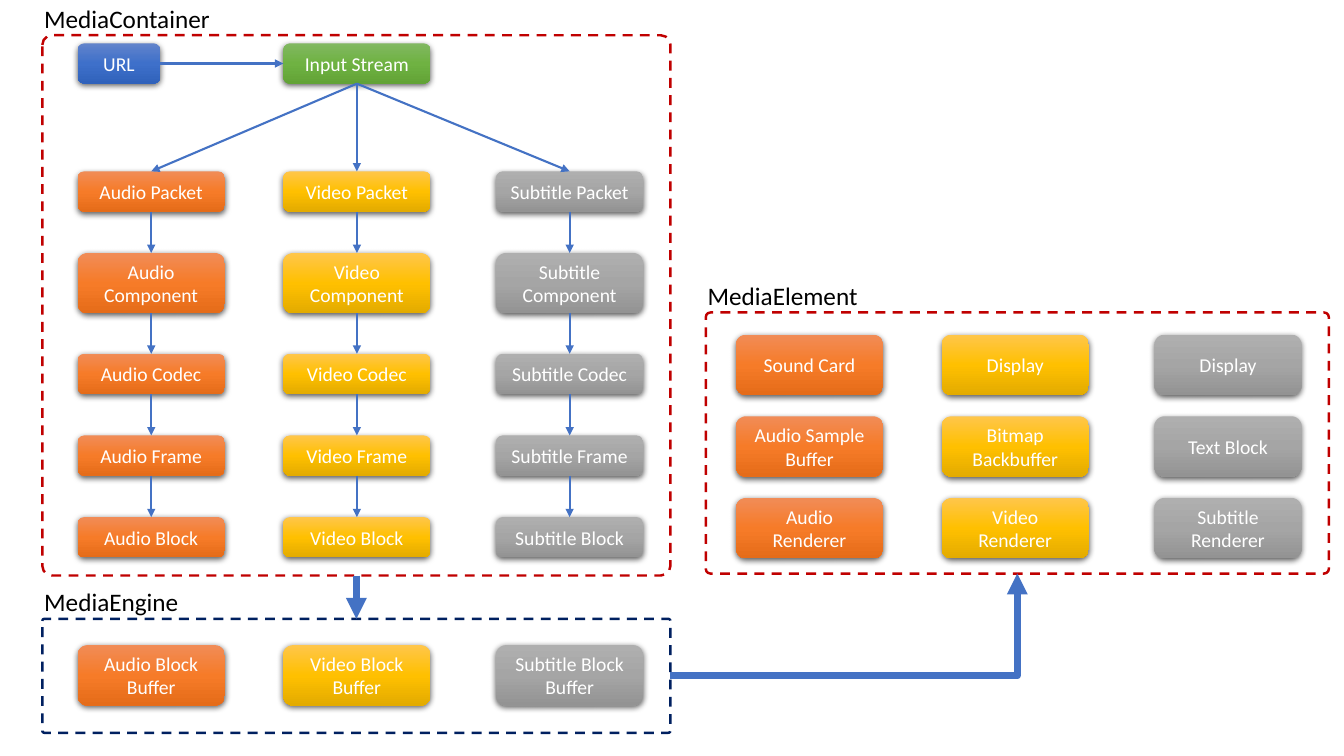
from copy import deepcopy
from itertools import pairwise

from lxml.etree import SubElement
from pptx import Presentation
from pptx.dml.color import RGBColor
from pptx.enum.dml import MSO_LINE
from pptx.enum.shapes import MSO_CONNECTOR as LINK, MSO_SHAPE as SHAPE
from pptx.enum.text import MSO_ANCHOR, MSO_AUTO_SIZE, PP_ALIGN
from pptx.oxml.ns import qn
from pptx.util import Inches, Pt

FONT = "Calibri"
WHITE = RGBColor(255, 255, 255)
BLACK = RGBColor(0, 0, 0)
RED = RGBColor(0xC0, 0, 0)
NAVY = RGBColor(0, 0x20, 0x60)
ARROW = RGBColor(0x44, 0x72, 0xC4)


def shades(*codes):
    """Return the top, middle and bottom colours of a gradient."""
    return [RGBColor.from_string(code) for code in codes]


BLUE = shades("6183CB", "3E70CA", "3062BB")
GREEN = shades("81B861", "6FB242", "62A336")
ORANGE = shades("F18C57", "F67B28", "E56C19")
GOLD = shades("FFC64B", "FFC000", "E3AB00")
GREY = shades("AFAFAF", "A5A5A5", "939393")

TOP, LEFT, BOTTOM, RIGHT = range(4)
BOX_WIDTH, LOW, TALL = 1.46, 0.4, 0.6
COLUMNS = [("Audio", 0.77, ORANGE), ("Video", 2.81, GOLD), ("Subtitle", 4.92, GREY)]
ELEMENT_SHIFT = 6.53

STAGES = [("Packet", 1.7, LOW), ("Component", 2.51, TALL), ("Codec", 3.51, LOW),
          ("Frame", 4.32, LOW), ("Block", 5.13, LOW)]
BUFFER_TOP = 6.4
ELEMENT_TOP, ELEMENT_STEP = 3.32, 0.81
ELEMENT_ROWS = [
    ("Sound Card", "Display", "Display"),
    ("Audio Sample Buffer", "Bitmap Backbuffer", "Text Block"),
    ("Audio Renderer", "Video Renderer", "Subtitle Renderer"),
]
FRAMES = [
    ("MediaContainer", 0.42, 0.35, 6.23, 5.36, RED, 1.86),
    ("MediaEngine", 0.42, 6.14, 6.23, 1.13, NAVY, 1.55),
    ("MediaElement", 7, 3.1, 6.18, 2.59, RED, 1.71),
]

deck = Presentation()
deck.slide_width, deck.slide_height = Inches(13.33), Inches(7.5)
page = deck.slides.add_slide(deck.slide_layouts[6])


def write(frame, text, size, color):
    """Put one styled paragraph in a text frame."""
    para = frame.paragraphs[0]
    para.text = text
    para.font.name, para.font.size = FONT, Pt(size)
    para.font.color.rgb = color
    return para


def add_rounded(left, top, width, height):
    """Add a rounded rectangle without a shadow."""
    shape = page.shapes.add_shape(SHAPE.ROUNDED_RECTANGLE, *map(Inches, (left, top, width, height)))
    shape.shadow.inherit = False
    return shape


def add_box(text, left, top, height, colors, width=BOX_WIDTH):
    """Add a gradient box with a soft shadow and a centred label."""
    box = add_rounded(left, top, width, height)
    box.line.fill.background()
    box.fill.gradient()
    box.fill.gradient_angle = 270
    properties = box._element.spPr
    stops = properties.find(".//" + qn("a:gsLst"))
    stops.append(deepcopy(stops[0]))
    for stop, color, position in zip(box.fill.gradient_stops, colors, (0, 0.5, 1)):
        stop.color.rgb, stop.position = color, position
    shadow = SubElement(properties.find(qn("a:effectLst")), qn("a:outerShdw"), blurRad=str(Pt(4.5)),
                        dist=str(Pt(1.5)), dir="5400000", algn="ctr", rotWithShape="0")
    black = SubElement(shadow, qn("a:srgbClr"), val="000000")
    SubElement(black, qn("a:alpha"), val="63000")
    box.text_frame.word_wrap = True
    box.text_frame.vertical_anchor = MSO_ANCHOR.MIDDLE
    write(box.text_frame, text, 14, WHITE).alignment = PP_ALIGN.CENTER
    return box


def add_frame(name, left, top, width, height, color, name_width):
    """Add a dashed frame with its name above."""
    frame = add_rounded(left, top, width, height)
    frame.adjustments[0] = 0.018
    frame.fill.background()
    frame.line.color.rgb, frame.line.width = color, Pt(1.75)
    frame.line.dash_style = MSO_LINE.DASH
    label = page.shapes.add_textbox(*map(Inches, (left - 0.08, top - 0.37, name_width, 0.4)))
    label.text_frame.word_wrap = False
    label.text_frame.auto_size = MSO_AUTO_SIZE.SHAPE_TO_FIT_TEXT
    write(label.text_frame, name, 18, BLACK)
    return frame


def add_arrow(start, end, start_side=BOTTOM, end_side=TOP, weight=1.5, kind=LINK.STRAIGHT):
    """Join two shapes with an arrow."""
    arrow = page.shapes.add_connector(kind, 0, 0, 0, 0)
    arrow.begin_connect(start, start_side)
    arrow.end_connect(end, end_side)
    arrow.line.color.rgb, arrow.line.width = ARROW, Pt(weight)
    SubElement(arrow.line._get_or_add_ln(), qn("a:tailEnd"), type="triangle")
    SubElement(arrow._element.spPr, qn("a:effectLst"))
    return arrow


url = add_box("URL", 0.77, 0.43, LOW, BLUE, width=0.82)
stream = add_box("Input Stream", 2.81, 0.43, LOW, GREEN)
add_arrow(url, stream, RIGHT, LEFT)

for index, (medium, left, colors) in enumerate(COLUMNS):
    chain = [add_box(f"{medium} {stage}", left, top, height, colors) for stage, top, height in STAGES]
    for start, end in pairwise([stream, *chain]):
        add_arrow(start, end)
    add_box(f"{medium} Block Buffer", left, BUFFER_TOP, TALL, colors)
    for row, names in enumerate(ELEMENT_ROWS):
        add_box(names[index], left + ELEMENT_SHIFT, ELEMENT_TOP + row * ELEMENT_STEP, TALL, colors)

container, engine, element = [add_frame(*frame) for frame in FRAMES]
add_arrow(container, engine, weight=5)
bend = add_arrow(engine, element, RIGHT, BOTTOM, weight=5, kind=LINK.ELBOW)
bend._element.spPr.find(qn("a:prstGeom")).set("prst", "bentConnector2")

deck.save("out.pptx")
